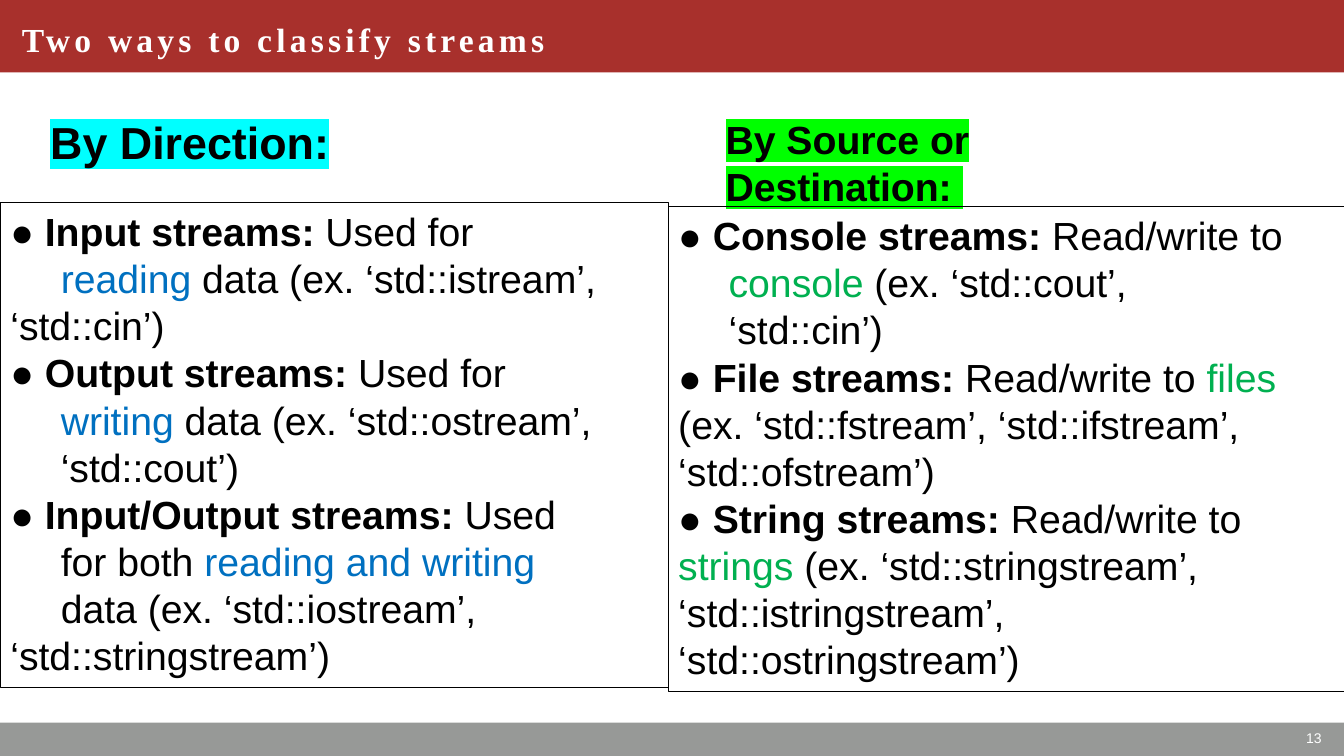
import pptx
import pptx.dml.color
import pptx.enum.shapes
import pptx.enum.text
import pptx.oxml
import pptx.oxml.ns
import pptx.util

Pt = pptx.util.Pt
ANCHOR = pptx.enum.text.MSO_ANCHOR
ALIGN = pptx.enum.text.PP_ALIGN

BLACK, WHITE = "000000", "FFFFFF"
BASE = {"name": "Arial", "size": Pt(28), "bold": False, "color": BLACK}
PLAIN = {}
BOLD = {"bold": True}
BLUE = {"color": "0070C0"}
GREEN = {"color": "00B050"}
HALF_INCH = 36

# Each paragraph is its first-line indent and its styled spans.
DIRECTION = [
    (0, [("● ", PLAIN), ("Input streams: ", BOLD), ("Used for", PLAIN)]),
    (HALF_INCH, [("reading", BLUE), (" data (ex. ‘std::istream’,", PLAIN)]),
    (0, [("‘std::cin’)", PLAIN)]),
    (0, [("● ", PLAIN), ("Output streams:", BOLD), (" Used for", PLAIN)]),
    (HALF_INCH, [("writing", BLUE), (" data (ex. ‘std::ostream’,", PLAIN)]),
    (HALF_INCH, [("‘std::cout’)", PLAIN)]),
    (0, [("● ", PLAIN), ("Input/Output streams:", BOLD), (" Used", PLAIN)]),
    (HALF_INCH, [("for both ", PLAIN), ("reading and writing", BLUE)]),
    (HALF_INCH, [("data (ex. ‘std::iostream’,", PLAIN)]),
    (0, [("‘std::stringstream’)", PLAIN)]),
]
SOURCE = [
    (0, [("● ", PLAIN), ("Console streams: ", BOLD), ("Read/write to", PLAIN)]),
    (HALF_INCH, [("console ", GREEN), ("(ex. ‘std::cout’,", PLAIN)]),
    (HALF_INCH, [("‘std::cin’)", PLAIN)]),
    (0, [("●", PLAIN), (" File streams: ", BOLD), ("Read/write to", PLAIN),
         (" files", GREEN)]),
    (0, [("(ex. ‘std::fstream’, ‘std::ifstream’,", PLAIN)]),
    (0, [("‘std::ofstream’)", PLAIN)]),
    (0, [("● ", PLAIN), ("String streams: ", BOLD), ("Read/write to", PLAIN)]),
    (0, [("strings ", GREEN), ("(ex. ‘std::stringstream’,", PLAIN)]),
    (0, [("‘std::istringstream’,", PLAIN)]),
    (0, [("‘std::ostringstream’)", PLAIN)]),
]


def rgb(value):
    return pptx.dml.color.RGBColor.from_string(value)


def add_span(para, text, style):
    span = para.add_run()
    span.text = text
    values = {**BASE, **style}
    span.font.color.rgb = rgb(values.pop("color"))
    for name, value in values.items():
        setattr(span.font, name, value)
    return span


def add_rectangle(page, left, top, width, height):
    box = page.shapes.add_shape(
        pptx.enum.shapes.MSO_SHAPE.RECTANGLE,
        Pt(left), Pt(top), Pt(width), Pt(height))
    box.shadow.inherit = False
    return box


def add_bar(page, top, height, color):
    bar = add_rectangle(page, 0, top, 960, height)
    bar.fill.solid()
    bar.fill.fore_color.rgb = rgb(color)
    bar.line.fill.background()


def add_label(page, place, text, style, anchor=ANCHOR.TOP, align=ALIGN.LEFT):
    """Add a one-paragraph text box and return its span."""
    box = page.shapes.add_textbox(*map(Pt, place))
    box.text_frame.word_wrap = True
    box.text_frame.vertical_anchor = anchor
    para = box.text_frame.paragraphs[0]
    para.alignment = align
    return add_span(para, text, style)


def add_heading(page, left, width, text, size, highlight):
    span = add_label(page, (left, 78.5, width, 38.9), text,
                     {"size": Pt(size), "bold": True})
    mark = pptx.oxml.parse_xml(
        f'<a:highlight {pptx.oxml.ns.nsdecls("a")}>'
        f'<a:srgbClr val="{highlight}"/></a:highlight>')
    fill = span._r.get_or_add_rPr().find(pptx.oxml.ns.qn("a:solidFill"))
    fill.addnext(mark)


def add_panel(page, left, top, width, paragraphs):
    panel = add_rectangle(page, left, top, width, 346.3)
    panel.fill.background()
    panel.line.color.rgb = rgb(BLACK)
    panel.line.width = Pt(0.75)
    frame = panel.text_frame
    frame.word_wrap = True
    frame.auto_size = pptx.enum.text.MSO_AUTO_SIZE.SHAPE_TO_FIT_TEXT
    frame.vertical_anchor = ANCHOR.TOP
    for index, (indent, spans) in enumerate(paragraphs):
        para = frame.add_paragraph() if index else frame.paragraphs[0]
        para.alignment = ALIGN.LEFT
        if indent:
            properties = para._p.get_or_add_pPr()
            properties.set("marL", "0")
            properties.set("indent", str(Pt(indent)))
        for text, style in spans:
            add_span(para, text, style)


def main():
    deck = pptx.Presentation()
    deck.slide_width, deck.slide_height = Pt(960), Pt(540)
    page = deck.slides.add_slide(deck.slide_layouts[6])

    add_bar(page, 516.2, 23.8, "979997")
    add_bar(page, 0, 51.8, "A8302C")
    title = add_label(
        page, (8.6, 0, 511.2, 55.4), "Two ways to classify streams",
        {"name": "Times New Roman", "size": Pt(24), "bold": True, "color": WHITE},
        ANCHOR.MIDDLE)
    title._r.get_or_add_rPr().set("spc", "300")
    add_label(page, (738.7, 514.8, 212.4, 25.2), "13",
              {"size": Pt(10), "color": WHITE}, ANCHOR.MIDDLE, ALIGN.RIGHT)

    add_heading(page, 28.8, 238.3, "By Direction:", 32, "00FFFF")
    add_heading(page, 511.2, 352.1, "By Source or Destination: ", 28, "00FF00")
    add_panel(page, 0.3, 144.7, 477.1, DIRECTION)
    add_panel(page, 477.4, 147.6, 535, SOURCE)

    deck.save("out.pptx")


if __name__ == "__main__":
    main()
